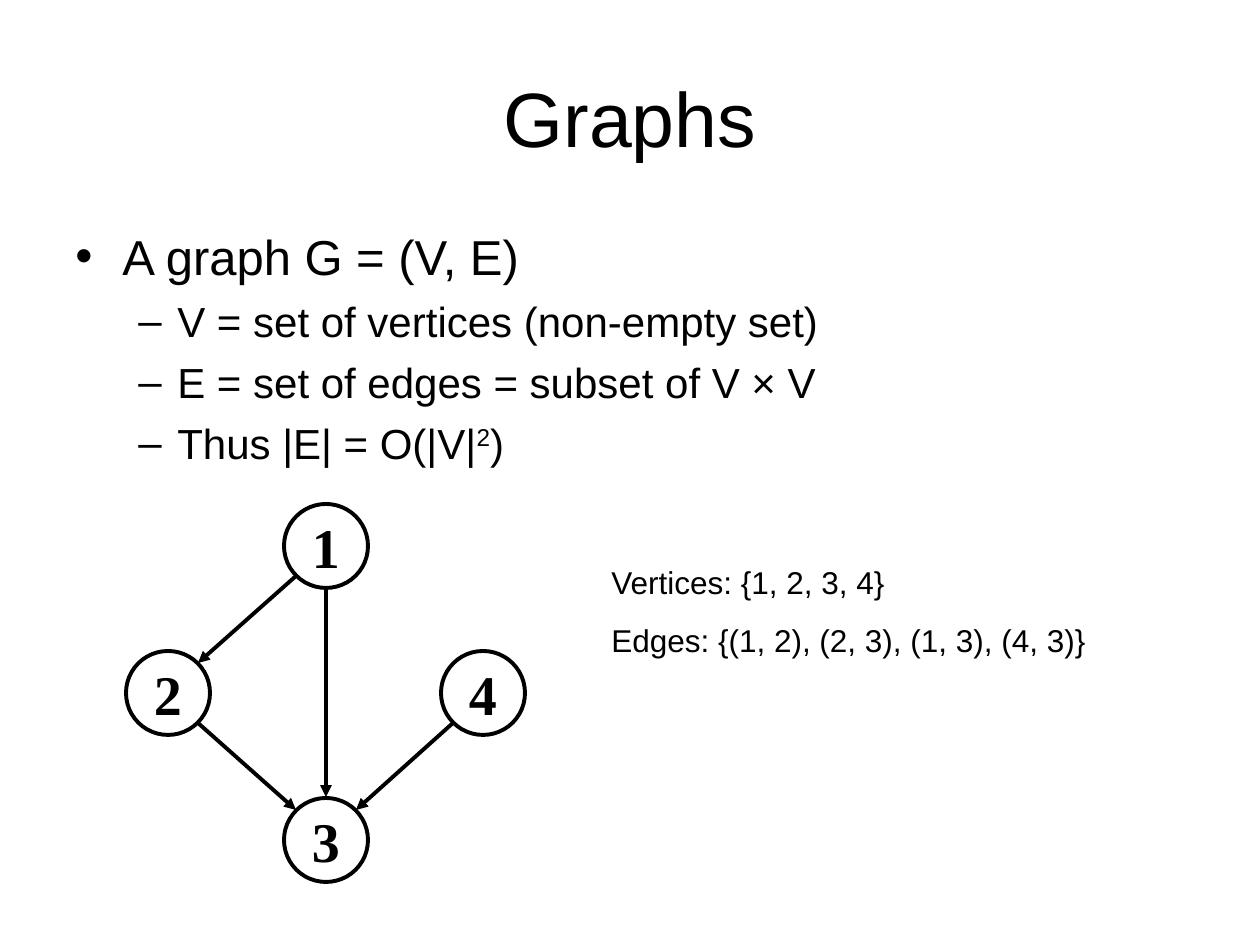
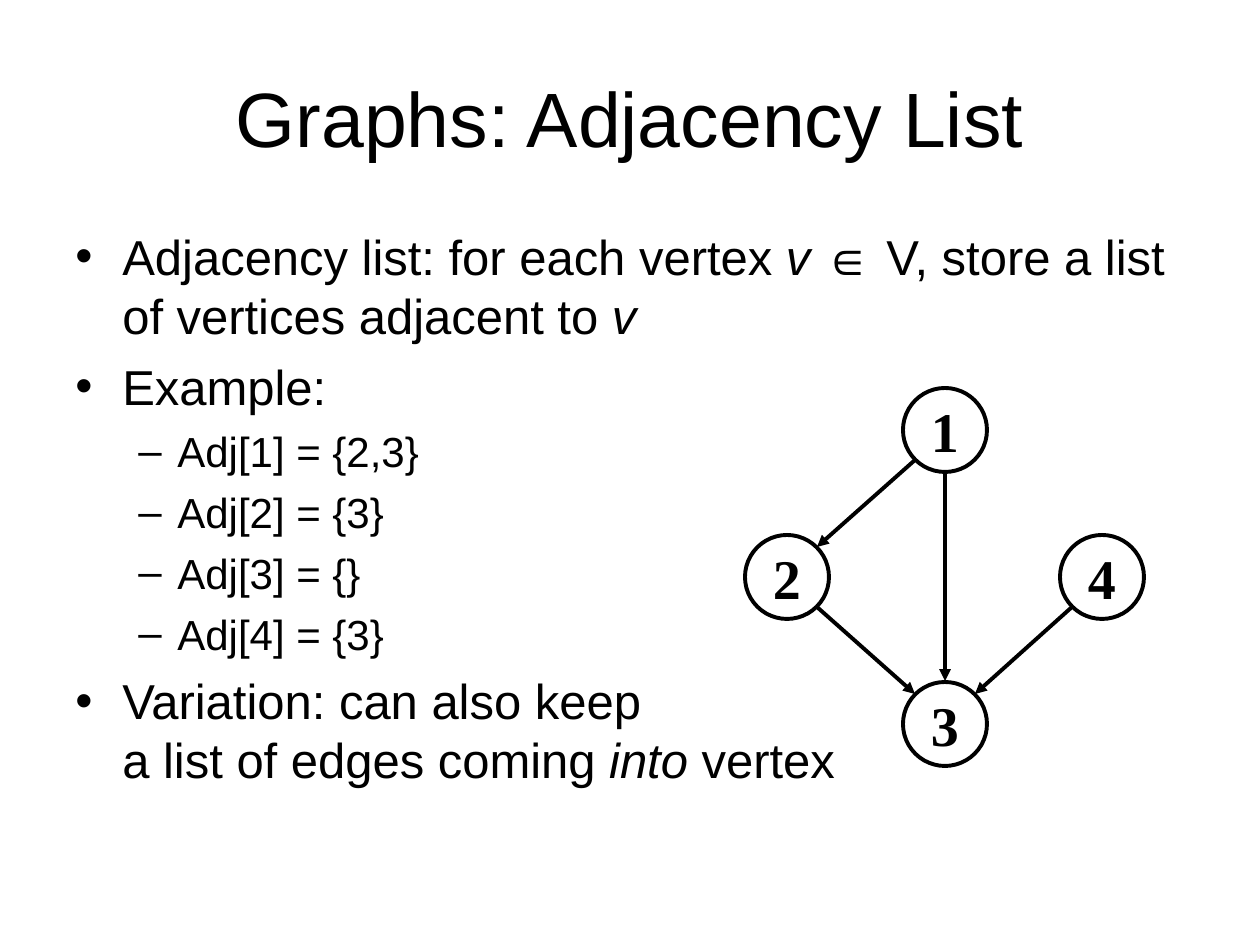
import math

import lxml.etree
import pptx
import pptx.dml.color
import pptx.enum.shapes
import pptx.enum.text
import pptx.oxml.ns
import pptx.util

PX = 914400 / 126
BLACK = pptx.dml.color.RGBColor(0x00, 0x00, 0x00)
SANS = "Arial"
SERIF = "Times New Roman"
LINE_WIDTH = pptx.util.Pt(2.25)
TITLE_ONLY = 5

# Per outline level: bullet, font size, space before, left margin px, hanging px
LEVELS = [("•", 28, 7, 47, 47), ("–", 24, 6, 102, 39)]

NODE_SIZE = 84
NODE_OFFSETS = {1: (158, 0), 2: (0, 147), 4: (315, 147), 3: (158, 294)}
EDGES = [(1, 2), (2, 3), (4, 3), (1, 3)]

ITALIC = "italic"
SUPERSCRIPT = "superscript"


def px(length):
    return pptx.util.Emu(round(length * PX))


def add_xml(parent, tag, **attributes):
    return lxml.etree.SubElement(parent, pptx.oxml.ns.qn(tag), attributes)


def set_font(paragraph, size, name=SANS, bold=False):
    font = paragraph.font
    font.name = name
    font.size = pptx.util.Pt(size)
    font.bold = bold
    font.color.rgb = BLACK


def add_titled_page(deck, text):
    page = deck.slides.add_slide(deck.slide_layouts[TITLE_ONLY])
    title = page.shapes.title
    title.left, title.top, title.width, title.height = map(px, (63, 38, 1134, 158))
    title.text_frame.text = text
    title.text_frame.vertical_anchor = pptx.enum.text.MSO_ANCHOR.MIDDLE
    paragraph = title.text_frame.paragraphs[0]
    paragraph.alignment = pptx.enum.text.PP_ALIGN.CENTER
    set_font(paragraph, 44)
    return page


def add_text_box(page, left, top, width, height):
    frame = page.shapes.add_textbox(*map(px, (left, top, width, height))).text_frame
    frame.word_wrap = True
    return frame


def next_paragraph(frame, index):
    return frame.add_paragraph() if index else frame.paragraphs[0]


def add_span(paragraph, text, style=None):
    """Add text, turning each newline into a line break within the paragraph."""
    for index, line in enumerate(text.split("\n")):
        if index:
            paragraph.add_line_break()
        span = paragraph.add_run()
        span.text = line
        if style == ITALIC:
            span.font.italic = True
        elif style == SUPERSCRIPT:
            span.font._element.set("baseline", "30000")


def set_bullet(paragraph, level):
    bullet, size, space, margin, hanging = LEVELS[level]
    paragraph.level = level
    paragraph.space_before = pptx.util.Pt(space)
    properties = paragraph._p.get_or_add_pPr()
    properties.set("marL", str(px(margin)))
    properties.set("indent", str(-px(hanging)))
    add_xml(add_xml(properties, "a:buClr"), "a:srgbClr", val=str(BLACK))
    add_xml(properties, "a:buFont", typeface=SANS)
    add_xml(properties, "a:buChar", char=bullet)
    set_font(paragraph, size)


def add_outline(page, items):
    """Add the bulleted body; each item is a level followed by its spans."""
    frame = add_text_box(page, 63, 220, 1134, 624)
    for index, (level, *spans) in enumerate(items):
        paragraph = next_paragraph(frame, index)
        set_bullet(paragraph, level)
        for span in spans:
            add_span(paragraph, *span)


def add_node(page, label, left, top):
    node = page.shapes.add_shape(
        pptx.enum.shapes.MSO_SHAPE.OVAL, px(left), px(top), px(NODE_SIZE), px(NODE_SIZE))
    node.shadow.inherit = False
    node.fill.background()
    node.line.color.rgb = BLACK
    node.line.width = LINE_WIDTH
    frame = node.text_frame
    frame.word_wrap = False
    frame.vertical_anchor = pptx.enum.text.MSO_ANCHOR.MIDDLE
    frame.text = str(label)
    paragraph = frame.paragraphs[0]
    paragraph.alignment = pptx.enum.text.PP_ALIGN.CENTER
    set_font(paragraph, 32, SERIF, bold=True)


def add_arrow(page, start, end):
    arrow = page.shapes.add_connector(
        pptx.enum.shapes.MSO_CONNECTOR.STRAIGHT, *map(px, (*start, *end)))
    arrow.line.color.rgb = BLACK
    arrow.line.width = LINE_WIDTH
    add_xml(arrow.line._get_or_add_ln(), "a:tailEnd", type="triangle")
    add_xml(arrow._element.spPr, "a:effectLst")


def rim_point(center, other):
    """Return the point on a node's rim, at a multiple of 45°, facing another node."""
    signs = [(b > a) - (b < a) for a, b in zip(center, other)]
    # Straight edges stop just outside the outline.
    reach = NODE_SIZE / 2 / math.sqrt(2) if all(signs) else NODE_SIZE / 2 + 1
    return [round(a + sign * reach) for a, sign in zip(center, signs)]


def add_graph(page, left, top):
    centers = {}
    for label, (across, down) in NODE_OFFSETS.items():
        add_node(page, label, left + across, top + down)
        centers[label] = (left + across + NODE_SIZE // 2, top + down + NODE_SIZE // 2)
    for tail, head in EDGES:
        add_arrow(page, rim_point(centers[tail], centers[head]),
                  rim_point(centers[head], centers[tail]))


def add_set_listing(page, lines):
    frame = add_text_box(page, 599, 557, 599, 108)
    frame.auto_size = pptx.enum.text.MSO_AUTO_SIZE.SHAPE_TO_FIT_TEXT
    for index, line in enumerate(lines):
        paragraph = next_paragraph(frame, index)
        paragraph.space_before = pptx.util.Pt(11.2)
        set_font(paragraph, 18)
        add_span(paragraph, line)


def add_definition_page(deck):
    page = add_titled_page(deck, "Graphs")
    add_outline(page, [
        (0, ("A graph G = (V, E)",)),
        (1, ("V = set of vertices (non-empty set)",)),
        (1, ("E = set of edges = subset of V × V",)),
        (1, ("Thus |E| = O(|V|",), ("2", SUPERSCRIPT), (")",)),
    ])
    add_graph(page, 126, 504)
    add_set_listing(page, ["Vertices: {1, 2, 3, 4}",
                           "Edges: {(1, 2), (2, 3), (1, 3), (4, 3)}"])


def add_adjacency_page(deck):
    page = add_titled_page(deck, "Graphs: Adjacency List")
    add_outline(page, [
        (0, ("Adjacency list: for each vertex ",), ("v ", ITALIC),
         ("∈ V, store a list of vertices adjacent to ",), ("v", ITALIC)),
        (0, ("Example:",)),
        (1, ("Adj[1] = {2,3}",)),
        (1, ("Adj[2] = {3}",)),
        (1, ("Adj[3] = {}",)),
        (1, ("Adj[4] = {3}",)),
        (0, ("Variation: can also keep \na list of edges coming ",),
         ("into ", ITALIC), ("vertex",)),
    ])
    add_graph(page, 745, 388)


def main():
    deck = pptx.Presentation()
    deck.slide_width, deck.slide_height = px(1260), px(945)
    add_definition_page(deck)
    add_adjacency_page(deck)
    deck.save("out.pptx")


if __name__ == "__main__":
    main()
